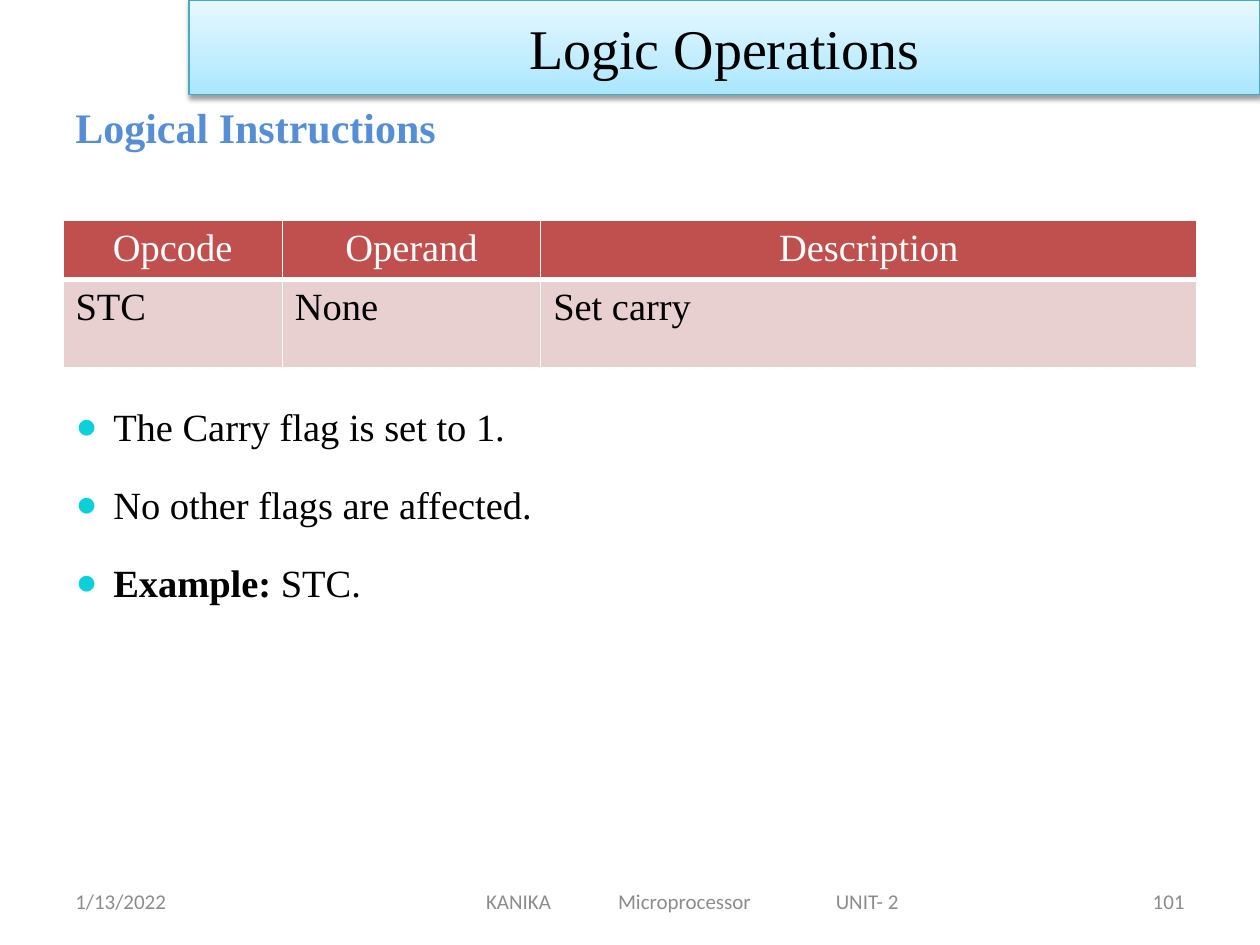
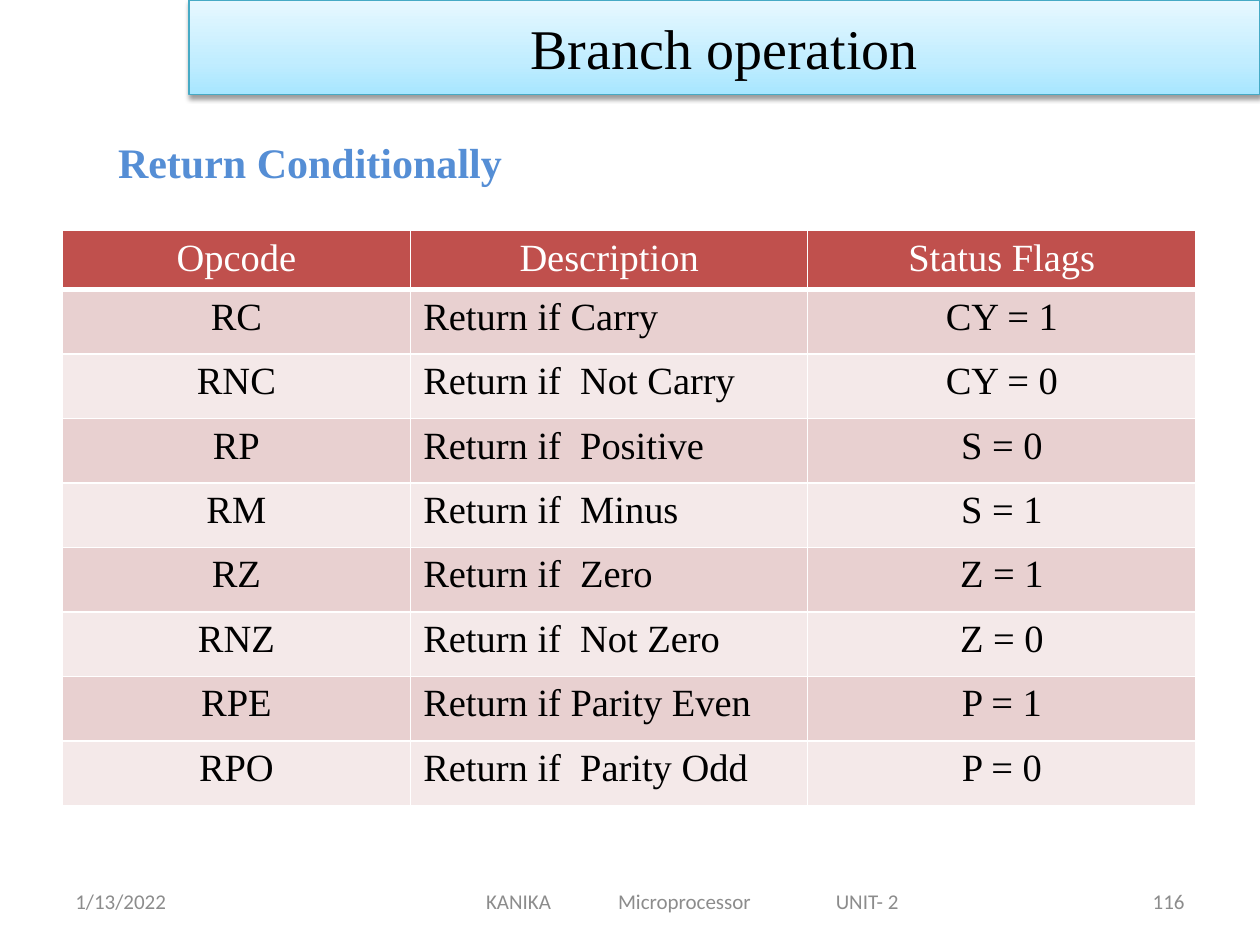
import pptx
import pptx.util
import pptx.dml.color
import pptx.enum.text
import pptx.oxml
import pptx.oxml.ns

Cm, Pt = pptx.util.Cm, pptx.util.Pt
ALIGN = pptx.enum.text.PP_ALIGN
ANCHOR = pptx.enum.text.MSO_ANCHOR
AUTO_SIZE = pptx.enum.text.MSO_AUTO_SIZE

# Content: boxes are (left, top, width, height) in centimetres
DATE = "1/13/2022"
FOOTER = "KANIKA\tMicroprocessor\tUNIT- 2"

SLIDES = [
    {
        "title": "Logic Operations",
        "heading": ("Logical Instructions", (1.27, 1.93, 7.85, 1.3)),
        "table": {
            "at": (1.27, 4.45),
            "columns": [4.42, 5.21, 13.23],
            "row_height": 1.78,
            "aligns": [ALIGN.LEFT] * 3,
            "rows": [
                ("Opcode", "Operand", "Description"),
                ("STC", "None", "Set carry"),
            ],
        },
        # Each bullet is a list of (text, bold) runs
        "bullets": [
            [("The Carry flag is set to 1.", False)],
            [("No other flags are affected.", False)],
            [("Example:", True), (" STC.", False)],
        ],
        "number": "101",
    },
    {
        "title": "Branch operation",
        "heading": ("Return Conditionally", (2.13, 2.62, 8.33, 1.3)),
        "table": {
            "at": (1.25, 4.65),
            "columns": [7.03, 8.0, 7.83],
            "row_height": 1.3,
            "aligns": [ALIGN.CENTER, ALIGN.LEFT, ALIGN.CENTER],
            "rows": [
                ("Opcode", "Description", "Status Flags"),
                ("RC", "Return if Carry", "CY = 1"),
                ("RNC", "Return if  Not Carry", "CY = 0"),
                ("RP", "Return if  Positive", "S = 0"),
                ("RM", "Return if  Minus", "S = 1"),
                ("RZ", "Return if  Zero", "Z = 1"),
                ("RNZ", "Return if  Not Zero", "Z = 0"),
                ("RPE", "Return if Parity Even", "P = 1"),
                ("RPO", "Return if  Parity Odd", "P = 0"),
            ],
        },
        "bullets": [],
        "number": "116",
    },
]

# Shared style
SERIF, SANS = "Times New Roman", "Calibri"
BLACK, WHITE, GREY = "000000", "FFFFFF", "8C8C8C"
HEADING_BLUE, BAND_LINE, BULLET_CYAN = "558ED5", "46AAC5", "0BD0D9"
HEADER_RED, ROW_FILLS = "C0504D", ("E8D0D0", "F4E9E9")
BAND_STOPS = [(0, "A7E6FF"), (35, "C1EDFF"), (100, "E7F8FF")]

TITLE_BOX = (3.81, 0, 21.59, 1.91)
BODY_BOX = (1.27, 8, 22.86, 8.64)
HEADER_HEIGHT = 1.17
FOOTER_TOP, FOOTER_HEIGHT = 17.65, 1.02
FOOTER_INSET, FOOTER_TABS = 2.81, (2.66, 7.05)
LAYOUT_CONTENT, LAYOUT_TITLE_ONLY = 1, 5


def rgb(color):
    return pptx.dml.color.RGBColor.from_string(color)


def xml(tag, content="", **attrs):
    """Build a DrawingML element from its tag, inner XML and attributes."""
    attr_text = "".join(f' {name}="{value}"' for name, value in attrs.items())
    ns = pptx.oxml.ns.nsdecls("a")
    return pptx.oxml.parse_xml(f"<a:{tag} {ns}{attr_text}>{content}</a:{tag}>")


def color_xml(color, inner=""):
    return f'<a:srgbClr val="{color}">{inner}</a:srgbClr>'


def add_run(p, text, size, color, font=SERIF, bold=False):
    r = p.add_run()
    r.text = text
    r.font.size = Pt(size)
    r.font.name = font
    r.font.bold = bold
    r.font.color.rgb = rgb(color)


def place(sp, box):
    sp.left, sp.top, sp.width, sp.height = map(Cm, box)


def add_title(slide, text):
    sp = slide.shapes.title
    place(sp, TITLE_BOX)
    stops = "".join(f'<a:gs pos="{pos * 1000}">{color_xml(color)}</a:gs>'
                    for pos, color in BAND_STOPS)
    shadow = color_xml(BLACK, '<a:alpha val="38000"/>')
    props = sp.element.spPr
    props.append(xml("gradFill", f'<a:gsLst>{stops}</a:gsLst>'
                     '<a:lin ang="16200000" scaled="0"/>', rotWithShape=1))
    props.append(xml("effectLst", f'<a:outerShdw blurRad="{Pt(3.1)}" dist="{Pt(1.6)}" '
                     f'dir="5400000" rotWithShape="0">{shadow}</a:outerShdw>'))
    sp.line.color.rgb = rgb(BAND_LINE)
    sp.line.width = Pt(0.75)
    tf = sp.text_frame
    tf.auto_size = AUTO_SIZE.NONE
    tf.vertical_anchor = ANCHOR.MIDDLE
    p = tf.paragraphs[0]
    p.alignment = ALIGN.CENTER
    add_run(p, text, 32, BLACK)


def add_heading(slide, text, box):
    tf = slide.shapes.add_textbox(*map(Cm, box)).text_frame
    tf.word_wrap = False
    tf.auto_size = AUTO_SIZE.SHAPE_TO_FIT_TEXT
    add_run(tf.paragraphs[0], text, 24, HEADING_BLUE, bold=True)


def add_borders(cell, is_header):
    props = cell._tc.get_or_add_tcPr()
    line = f"<a:solidFill>{color_xml(WHITE)}</a:solidFill>"
    for side in "LRTB":
        width = 3 if is_header and side == "B" else 1
        props.append(xml("ln" + side, line, w=Pt(width)))


def add_opcode_table(slide, at, columns, row_height, aligns, rows):
    heights = [HEADER_HEIGHT] + [row_height] * (len(rows) - 1)
    box = (*at, sum(columns), sum(heights))
    table = slide.shapes.add_table(len(rows), len(columns), *map(Cm, box)).table
    for column, width in zip(table.columns, columns):
        column.width = Cm(width)
    for i, (row, height, texts) in enumerate(zip(table.rows, heights, rows)):
        row.height = Cm(height)
        is_header = i == 0
        for cell, text, align in zip(row.cells, texts, aligns):
            add_borders(cell, is_header)
            cell.fill.solid()
            cell.fill.fore_color.rgb = rgb(HEADER_RED if is_header else ROW_FILLS[(i - 1) % 2])
            p = cell.text_frame.paragraphs[0]
            p.alignment = ALIGN.CENTER if is_header else align
            add_run(p, text, 22, WHITE if is_header else BLACK)


def add_bullets(slide, bullets):
    sp = slide.placeholders[1]
    place(sp, BODY_BOX)
    tf = sp.text_frame
    tf.auto_size = AUTO_SIZE.NONE
    for i, runs in enumerate(bullets):
        p = tf.add_paragraph() if i else tf.paragraphs[0]
        props = p._p.get_or_add_pPr()
        props.set("marL", str(Cm(0.76)))
        props.set("indent", str(-Cm(0.76)))
        props.append(xml("buClr", color_xml(BULLET_CYAN)))
        props.append(xml("buSzPct", val=95000))
        props.append(xml("buChar", char="●"))
        p.space_before = Pt(0)
        p.space_after = Pt(18)
        for text, bold in runs:
            add_run(p, text, 22, BLACK, bold=bold)


def add_footer_text(slide, left, width, text, align=ALIGN.LEFT):
    box = (left, FOOTER_TOP, width, FOOTER_HEIGHT)
    tf = slide.shapes.add_textbox(*map(Cm, box)).text_frame
    tf.word_wrap = True
    tf.vertical_anchor = ANCHOR.MIDDLE
    p = tf.paragraphs[0]
    p.alignment = align
    if "\t" in text:
        tf.margin_left = Cm(FOOTER_INSET)
        tabs = "".join(f'<a:tab pos="{Cm(pos)}" algn="l"/>' for pos in FOOTER_TABS)
        p._p.get_or_add_pPr().append(xml("tabLst", tabs))
    add_run(p, text, 12, GREY, font=SANS)


def add_footer(slide, number):
    add_footer_text(slide, 1.27, 5.92, DATE)
    add_footer_text(slide, 6.99, 13.97, FOOTER)
    add_footer_text(slide, 18.21, 5.92, number, ALIGN.RIGHT)


def main():
    prs = pptx.Presentation()
    prs.slide_width, prs.slide_height = Cm(25.4), Cm(19.05)
    for content in SLIDES:
        layout = LAYOUT_CONTENT if content["bullets"] else LAYOUT_TITLE_ONLY
        slide = prs.slides.add_slide(prs.slide_layouts[layout])
        add_title(slide, content["title"])
        add_heading(slide, *content["heading"])
        add_opcode_table(slide, **content["table"])
        if content["bullets"]:
            add_bullets(slide, content["bullets"])
        add_footer(slide, content["number"])
    prs.save("out.pptx")


if __name__ == "__main__":
    main()
